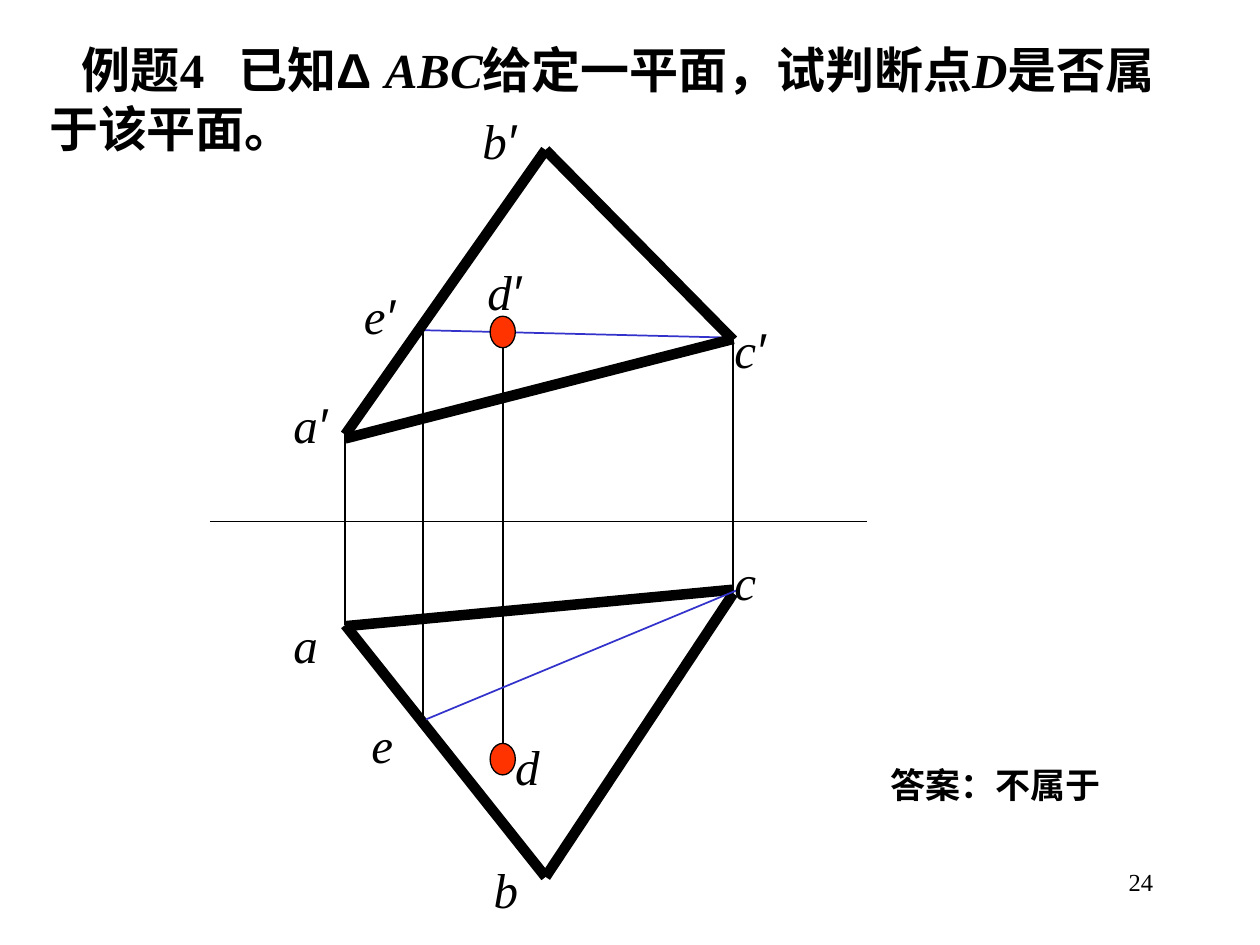
from lxml.etree import SubElement
from pptx import Presentation
from pptx.dml.color import RGBColor
from pptx.enum.shapes import MSO_CONNECTOR, MSO_SHAPE
from pptx.enum.text import MSO_ANCHOR, MSO_AUTO_SIZE, PP_ALIGN
from pptx.oxml.ns import qn
from pptx.util import Inches, Pt

BLACK = RGBColor(0x00, 0x00, 0x00)
BLUE = RGBColor(0x33, 0x33, 0xCC)
RED = RGBColor(0xFF, 0x33, 0x00)
SERIF = "Times New Roman"
SANS = "Arial"

A_X, B_X, C_X, D_X, E_X = 2.74, 4.33, 5.82, 3.99, 3.36
THIN, THICK = 1, 6

LINES = [
    ((5.81, 2.68), (3.32, 2.62), BLUE, THIN),
    ((D_X, 2.62), (D_X, 6), BLACK, THIN),
    ((A_X, 3.39), (A_X, 4.96), BLACK, THIN),
    ((6.88, 4.14), (1.67, 4.14), BLACK, THIN),
    ((A_X, 3.45), (B_X, 1.19), BLACK, THICK),
    ((B_X, 1.19), (C_X, 2.7), BLACK, THICK),
    ((C_X, 2.7), (C_X, 4.71), BLACK, THIN),
    ((B_X, 6.96), (C_X, 4.71), BLACK, THICK),
    ((A_X, 4.96), (B_X, 6.96), BLACK, THICK),
    ((A_X, 3.48), (C_X, 2.69), BLACK, THICK),
    ((A_X, 4.97), (C_X, 4.68), BLACK, THICK),
    ((E_X, 2.62), (E_X, 5.7), BLACK, THIN),
    ((3.38, 5.71), (5.86, 4.68), BLUE, THIN),
]

LABELS = [
    ("d", "′", 3.77, 2.03),
    ("d", "", 3.99, 5.8),
    ("a", "′", 2.23, 3.08),
    ("b", "′", 3.73, 0.83),
    ("c", "′", 5.73, 2.49),
    ("a", "", 2.23, 4.83),
    ("b", "", 3.82, 6.77),
    ("c", "", 5.73, 4.33),
    ("e", "", 2.85, 5.62),
    ("e", "′", 2.79, 2.22),
]


def add_run(paragraph, text, size, font=SERIF, bold=False, italic=False):
    run = paragraph.add_run()
    run.text = text
    run.font.name = font
    run.font.size = Pt(size)
    run.font.bold = bold
    run.font.italic = italic
    run.font.color.rgb = BLACK


def add_title(slide):
    title = slide.shapes.title
    title.left, title.top = Inches(0.29), Inches(0.19)
    title.width, title.height = Inches(9.19), Inches(1.18)
    frame = title.text_frame
    frame.word_wrap = True
    frame.auto_size = MSO_AUTO_SIZE.NONE
    frame.vertical_anchor = MSO_ANCHOR.MIDDLE
    paragraph = frame.paragraphs[0]
    paragraph.alignment = PP_ALIGN.LEFT
    properties = paragraph._p.get_or_add_pPr()
    properties.set("marL", "0")
    properties.set("indent", str(Inches(0.26)))
    tabs = SubElement(properties, qn("a:tabLst"))
    SubElement(tabs, qn("a:tab"), pos=str(Inches(1.73)), algn="l")
    for text, font, italic in [
        ("例题4\t已知", SERIF, False),
        ("Δ ", SANS, False),
        ("ABC", SERIF, True),
        ("给定一平面，试判断点", SERIF, False),
        ("D", SERIF, True),
        ("是否属于该平面。", SERIF, False),
    ]:
        add_run(paragraph, text, 28, font, True, italic)


def add_line(slide, start, end, color, width):
    points = [Inches(value) for value in (*start, *end)]
    line = slide.shapes.add_connector(MSO_CONNECTOR.STRAIGHT, *points)
    line.line.color.rgb = color
    line.line.width = Pt(width)
    SubElement(line._element.spPr, qn("a:effectLst"))


def add_point(slide, top):
    point = slide.shapes.add_shape(
        MSO_SHAPE.OVAL, Inches(D_X - 0.1), Inches(top), Inches(0.2), Inches(0.25)
    )
    point.shadow.inherit = False
    point.fill.solid()
    point.fill.fore_color.rgb = RED
    point.line.color.rgb = BLACK
    point.line.width = Pt(0.75)


def add_text(slide, left, top, width, height, alignment=PP_ALIGN.LEFT):
    box = slide.shapes.add_textbox(
        Inches(left), Inches(top), Inches(width), Inches(height)
    )
    box.text_frame.word_wrap = True
    paragraph = box.text_frame.paragraphs[0]
    paragraph.alignment = alignment
    return paragraph


def add_label(slide, letter, prime, left, top):
    paragraph = add_text(slide, left, top, 0.7, 0.57)
    add_run(paragraph, letter, 28, italic=True)
    if prime:
        add_run(paragraph, prime, 28, SANS, italic=True)


def main():
    presentation = Presentation()
    presentation.slide_width = Inches(10)
    presentation.slide_height = Inches(7.5)
    slide = presentation.slides.add_slide(presentation.slide_layouts[5])
    add_title(slide)
    for line in LINES:
        add_line(slide, *line)
    for top in (5.9, 2.51):
        add_point(slide, top)
    for label in LABELS:
        add_label(slide, *label)
    answer = add_text(slide, 6.93, 6.01, 1.94, 0.44, PP_ALIGN.CENTER)
    add_run(answer, "答案：不属于", 20, bold=True)
    number = add_text(slide, 7.17, 6.83, 2.08, 0.5, PP_ALIGN.RIGHT)
    add_run(number, "24", 14)
    presentation.save("out.pptx")


if __name__ == "__main__":
    main()
